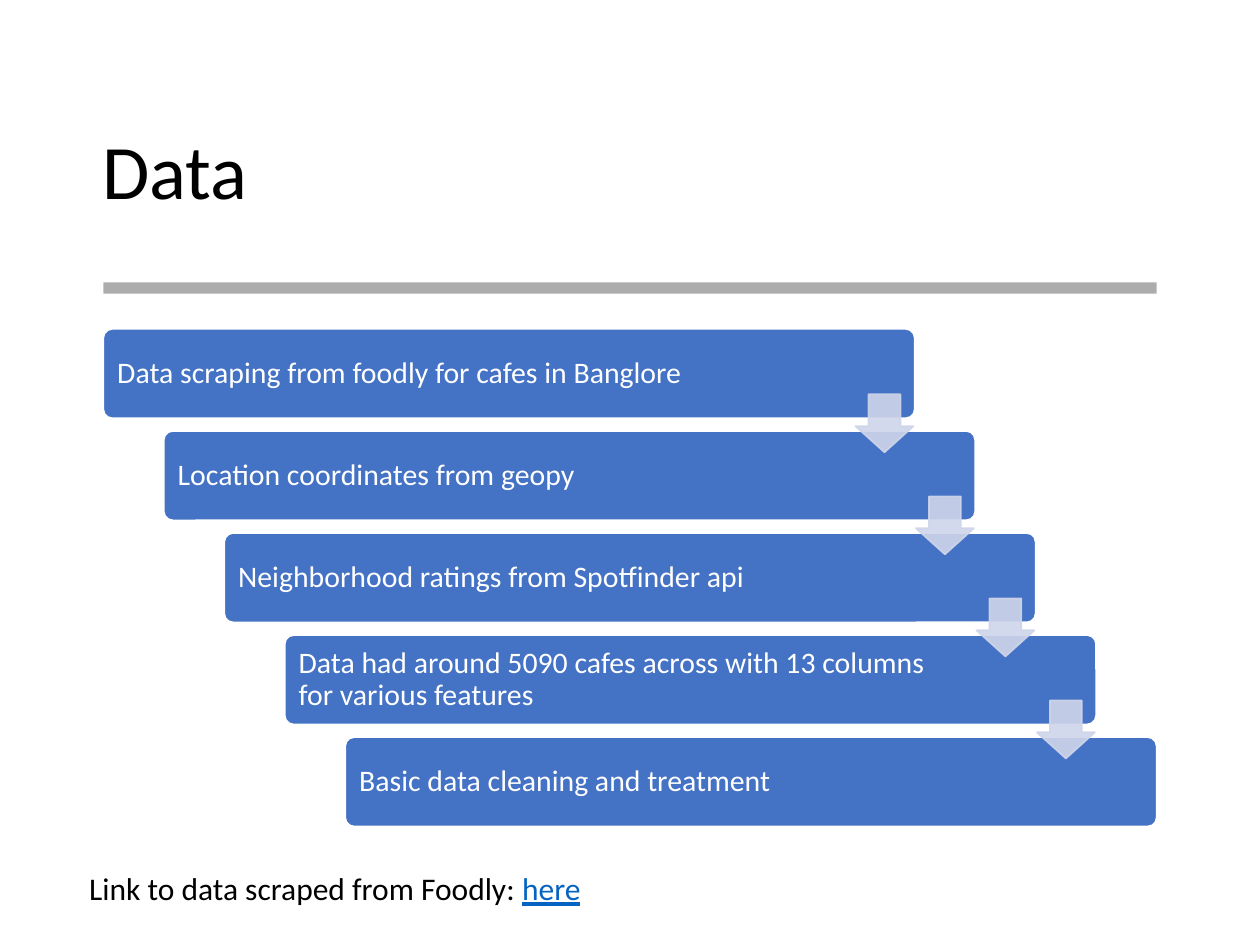
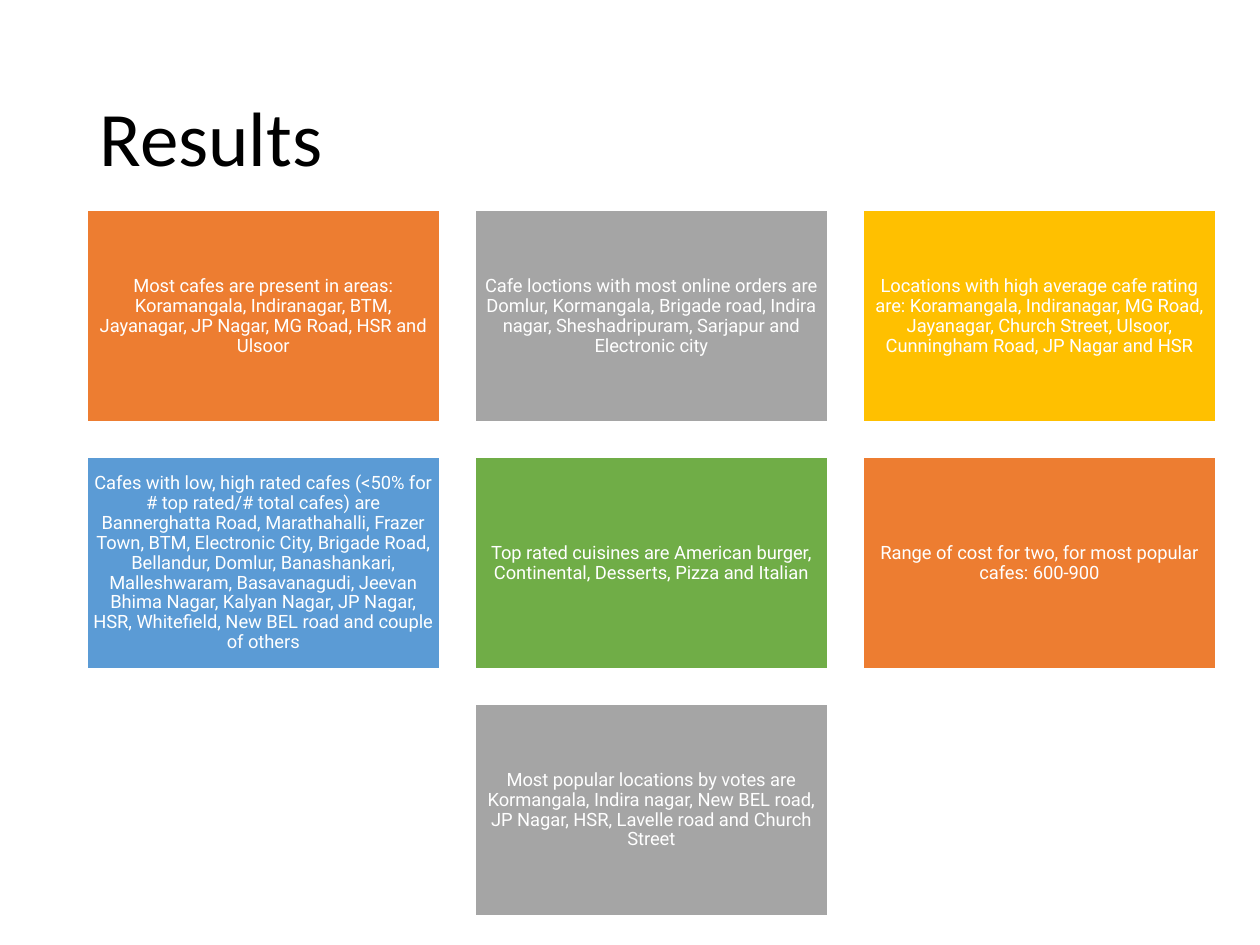
from dataclasses import dataclass

from lxml.etree import SubElement
from pptx import Presentation
from pptx.dml.color import RGBColor
from pptx.enum.shapes import MSO_SHAPE
from pptx.enum.text import MSO_ANCHOR, MSO_AUTO_SIZE, PP_ALIGN
from pptx.oxml.ns import qn
from pptx.util import Inches, Pt


@dataclass(frozen=True)
class Theme:
    black: str = "000000"
    white: str = "FFFFFF"
    rule: str = "808080"
    step: str = "4472C4"
    arrow: str = "CFD5EA"
    link: str = "0563C1"
    orange: str = "ED7D31"
    gray: str = "A5A5A5"
    gold: str = "FFC000"
    blue: str = "5B9BD5"
    green: str = "70AD47"
    font: str = "Calibri"
    card_font: str = "Roboto"
    title_size: float = 44
    note_size: float = 18
    step_size: float = 17
    card_size: float = 10.5


T = Theme()

STEPS = [
    "Data scraping from foodly for cafes in Banglore",
    "Location coordinates from geopy",
    "Neighborhood ratings from Spotfinder api",
    "Data had around 5090 cafes across with 13 columns for various features",
    "Basic data cleaning and treatment",
]

CARDS = [
    (T.orange, "Most cafes are present in areas: Koramangala, Indiranagar, BTM, "
               "Jayanagar, JP Nagar, MG Road, HSR and Ulsoor"),
    (T.gray, "Cafe loctions with most online orders are Domlur, Kormangala, "
             "Brigade road, Indira nagar, Sheshadripuram, Sarjapur and Electronic city"),
    (T.gold, "Locations with high average cafe rating are: Koramangala, Indiranagar, "
             "MG Road, Jayanagar, Church Street, Ulsoor, Cunningham Road, JP Nagar and HSR"),
    (T.blue, "Cafes with low, high rated cafes (<50% for # top rated/# total cafes) are "
             "Bannerghatta Road, Marathahalli, Frazer Town, BTM, Electronic City, "
             "Brigade Road, Bellandur, Domlur, Banashankari, Malleshwaram, Basavanagudi, "
             "Jeevan Bhima Nagar, Kalyan Nagar, JP Nagar, HSR, Whitefield, "
             "New BEL road and couple of others"),
    (T.green, "Top rated cuisines are American burger, Continental, Desserts, "
              "Pizza and Italian"),
    (T.orange, "Range of cost for two, for most popular cafes: 600-900"),
    (T.gray, "Most popular locations by votes are Kormangala, Indira nagar, "
             "New BEL road, JP Nagar, HSR, Lavelle road and Church Street"),
]


def set_alpha(color_format, percent):
    color = color_format._xFill.find(qn("a:srgbClr"))
    SubElement(color, qn("a:alpha")).set("val", str(percent * 1000))


def add_run(p, text, size, color, font=T.font, underline=None):
    r = p.add_run()
    r.text = text
    r.font.name = font
    r.font.size = Pt(size)
    r.font.color.rgb = RGBColor.from_string(color)
    r.font.underline = underline


def add_title_slide(prs, text, left, top, width):
    s = prs.slides.add_slide(prs.slide_layouts[5])
    sp = s.shapes.title
    sp.left, sp.top = Inches(left), Inches(top)
    sp.width, sp.height = Inches(width), Inches(1.45)
    tf = sp.text_frame
    tf.auto_size = MSO_AUTO_SIZE.NONE
    tf.vertical_anchor = MSO_ANCHOR.MIDDLE
    p = tf.paragraphs[0]
    p.alignment = PP_ALIGN.LEFT
    p.line_spacing = 0.9
    add_run(p, text, T.title_size, T.black)
    return s


def add_box(s, kind, left, top, width, height, fill, line=None, alpha=None, adj=()):
    sp = s.shapes.add_shape(kind, Inches(left), Inches(top), Inches(width), Inches(height))
    sp.shadow.inherit = False
    for i, value in enumerate(adj):
        sp.adjustments[i] = value
    sp.fill.solid()
    sp.fill.fore_color.rgb = RGBColor.from_string(fill)
    fills = [sp.fill]
    if line:
        sp.line.color.rgb = RGBColor.from_string(line)
        sp.line.width = Pt(1)
        fills.append(sp.line.fill)
    else:
        sp.line.fill.background()
    if alpha:
        for f in fills:
            set_alpha(f.fore_color, alpha)
    return sp


def fill_text(sp, text, size, font, align, margin, left=None, right=None):
    tf = sp.text_frame
    tf.word_wrap = True
    tf.vertical_anchor = MSO_ANCHOR.MIDDLE
    tf.margin_top = tf.margin_bottom = Inches(margin)
    tf.margin_left = Inches(left or margin)
    tf.margin_right = Inches(right or margin)
    p = tf.paragraphs[0]
    p.alignment = align
    p.line_spacing = 0.9
    add_run(p, text, size, T.white, font)


def add_staircase(s, steps):
    dx, dy = 0.48, 0.81
    for i, text in enumerate(steps):
        sp = add_box(s, MSO_SHAPE.ROUNDED_RECTANGLE, 0.82 + i * dx, 2.61 + i * dy,
                     6.44, 0.71, T.step, T.white, adj=[0.1])
        fill_text(sp, text, T.step_size, T.font, PP_ALIGN.LEFT, 0.07, left=0.09, right=1.04)
    for i in range(len(steps) - 1):
        add_box(s, MSO_SHAPE.DOWN_ARROW, 6.79 + i * dx, 3.13 + i * dy,
                0.46, 0.46, T.arrow, T.arrow, alpha=90, adj=[0.55, 0.45])


def add_card_grid(s, cards, columns=3):
    width, height, gap = 2.8, 1.68, 0.28
    for i, (color, text) in enumerate(cards):
        row, col = divmod(i, columns)
        in_row = min(columns, len(cards) - row * columns)
        col += (columns - in_row) / 2
        sp = add_box(s, MSO_SHAPE.RECTANGLE, 0.69 + col * (width + gap),
                     1.67 + row * (height + gap), width, height, color, T.white)
        fill_text(sp, text, T.card_size, T.card_font, PP_ALIGN.CENTER, 0.05)


def add_source_note(s):
    sp = s.shapes.add_textbox(Inches(0.61), Inches(6.85), Inches(7.06), Inches(0.4))
    tf = sp.text_frame
    tf.word_wrap = True
    p = tf.paragraphs[0]
    add_run(p, "Link to data scraped from Foodly: ", T.note_size, T.black)
    add_run(p, "here", T.note_size, T.link, underline=True)


def main():
    prs = Presentation()
    prs.slide_width, prs.slide_height = Inches(10), Inches(7.5)

    s = add_title_slide(prs, "Data", 0.71, 0.66, 8.57)
    add_box(s, MSO_SHAPE.RECTANGLE, 0.82, 2.24, 8.36, 0.09, T.rule, alpha=65)
    add_staircase(s, STEPS)
    add_source_note(s)

    s = add_title_slide(prs, "Results", 0.69, 0.4, 8.62)
    add_card_grid(s, CARDS)

    prs.save("out.pptx")


if __name__ == "__main__":
    main()
